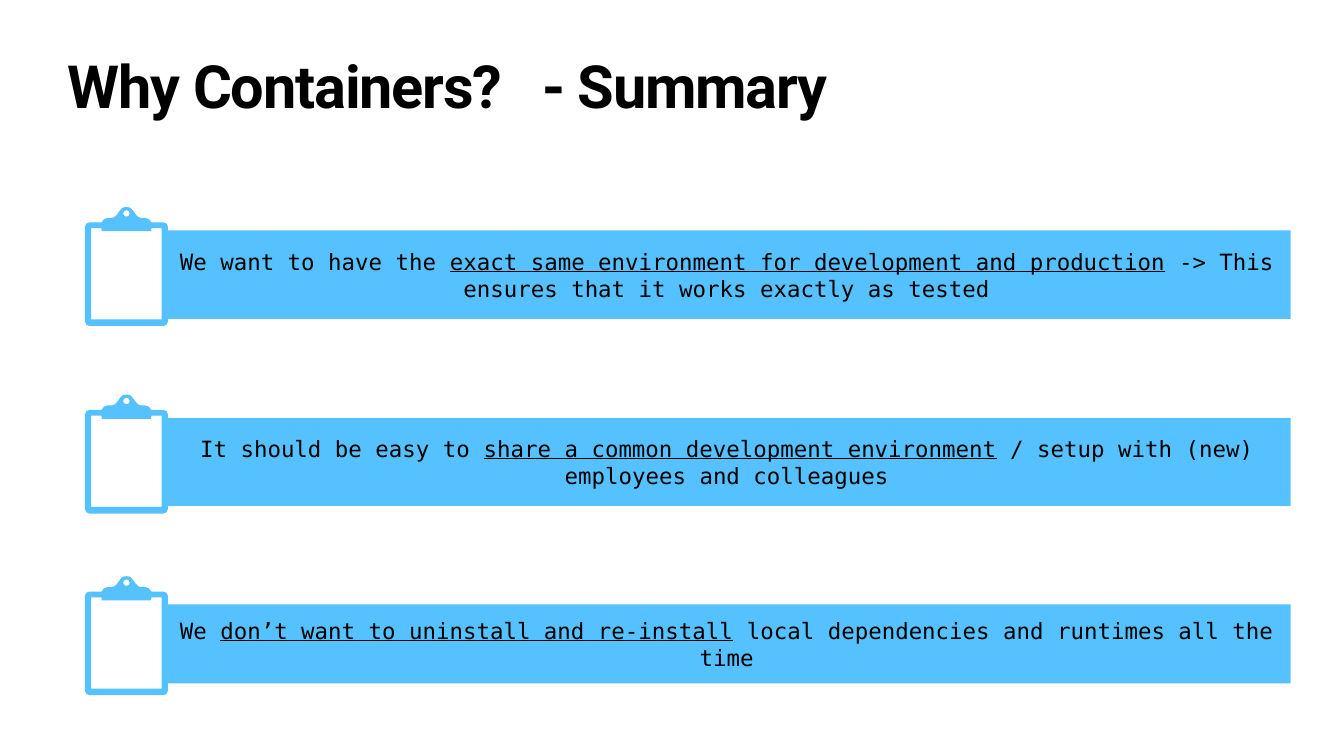
from lxml import etree
from pptx import Presentation
from pptx.dml.color import RGBColor
from pptx.enum.shapes import MSO_SHAPE
from pptx.enum.text import MSO_ANCHOR, PP_ALIGN
from pptx.oxml.ns import qn
from pptx.util import Pt

RECT = MSO_SHAPE.RECTANGLE
TOP, MIDDLE = MSO_ANCHOR.TOP, MSO_ANCHOR.MIDDLE
LEFT, CENTER = PP_ALIGN.LEFT, PP_ALIGN.CENTER

COLORS = {"bar": "56C1FF", "text": "000000"}
TITLE = "Why Containers?\t- Summary"
REASONS = [
    {"icon_top": 295.8, "bar_top": 329, "bar_height": 126.7,
     "runs": [("We want to have the ", False),
              ("exact same environment for development and production", True),
              (" -> This ensures that it works exactly as tested", False)]},
    {"icon_top": 563.7, "bar_top": 596.9, "bar_height": 125.8,
     "runs": [("It should be easy to ", False),
              ("share a common development environment", True),
              (" / setup with (new) employees and colleagues", False)]},
    {"icon_top": 823.2, "bar_top": 863.3, "bar_height": 113,
     "runs": [("We ", False),
              ("don’t want to uninstall and re-install", True),
              (" local dependencies and runtimes all the time", False)]},
]
ICON_CENTER = 180.6
BAR_LEFT, BAR_WIDTH = 232.6, 1611
INSET = 4

BOARD_HALF = [
    [(0, 0)],
    [(5.8, 0), (7.9, 2.2), (10.4, 6.5)],
    [(13.5, 11.5), (17, 15.4), (21, 15.4)],
    [(22.5, 15.2), (25, 15.2), (26.6, 15.4)],
    [(31, 15.8), (34, 18), (35.5, 22)],
    [(53, 22)],
    [(56.5, 22), (59.2, 24.5), (59.2, 28)],
    [(59.2, 163.5)],
    [(59.2, 167), (56.5, 169.9), (53, 169.9)],
]
HOLE_HALF = [
    [(0, 4.5)],
    [(2.6, 4.5), (4.7, 6.6), (4.7, 9.2)],
    [(4.7, 11.8), (2.6, 13.9), (0, 13.9)],
]
PAPER_HALF = [
    [(0, 34.6)],
    [(35, 34.6)],
    [(35, 34.6), (35.7, 33.1), (35.7, 30.2)],
    [(50.4, 30.2)],
    [(50.4, 160.6)],
]


def rgb(name):
    return RGBColor.from_string(COLORS[name])


def mirror(half):
    def flip(point):
        return -point[0], point[1]

    end = half[-1][-1]
    contour = half + ([[flip(end)]] if end[0] else [])
    for before, segment in reversed(list(zip(half, half[1:]))):
        controls = segment[-2::-1]
        contour = contour + [[flip(q) for q in controls + [before[-1]]]]
    return contour


def set_frame(tf, anchor):
    tf.word_wrap = True
    tf.vertical_anchor = anchor
    tf.margin_left = tf.margin_right = tf.margin_top = tf.margin_bottom = Pt(INSET)


def add_run(p, text, font, size, bold=False, underline=False):
    r = p.add_run()
    r.text = text
    r.font.name, r.font.size = font, Pt(size)
    r.font.bold, r.font.underline = bold, underline
    r.font.color.rgb = rgb("text")
    return r


def paint(s):
    s.shadow.inherit = False
    s.fill.solid()
    s.fill.fore_color.rgb = rgb("bar")
    s.line.fill.background()


def bend(s, segments):
    lines = list(s._element.iter(qn("a:lnTo")))
    for line, segment in zip(lines, segments):
        if len(segment) == 3:
            curve = etree.Element(qn("a:cubicBezTo"))
            for x, y in segment:
                etree.SubElement(curve, qn("a:pt"), x=str(x - s.left), y=str(y - s.top))
            line.getparent().replace(line, curve)


def add_clipboard(shapes, top):
    contours = [[[(Pt(ICON_CENTER + x), Pt(top + y)) for x, y in segment]
                 for segment in mirror(half)]
                for half in (BOARD_HALF, HOLE_HALF, PAPER_HALF)]
    builder = shapes.build_freeform(*contours[0][0][0])
    for i, contour in enumerate(contours):
        if i:
            builder.move_to(*contour[0][0])
        builder.add_line_segments([segment[-1] for segment in contour[1:]], close=True)
    s = builder.convert_to_shape()
    bend(s, [segment for contour in contours for segment in contour[1:]])
    paint(s)


def add_bar(shapes, top, height, runs):
    s = shapes.add_shape(RECT, Pt(BAR_LEFT), Pt(top), Pt(BAR_WIDTH), Pt(height))
    paint(s)
    set_frame(s.text_frame, MIDDLE)
    p = s.text_frame.paragraphs[0]
    p.alignment = CENTER
    for text, underline in runs:
        add_run(p, text, "DejaVu Sans Mono", 32, underline=underline)


def add_title(s):
    s.left, s.top, s.width, s.height = Pt(92.9), Pt(85), Pt(1730), Pt(113)
    set_frame(s.text_frame, TOP)
    p = s.text_frame.paragraphs[0]
    tabs = etree.SubElement(p._p.get_or_add_pPr(), qn("a:tabLst"))
    etree.SubElement(tabs, qn("a:tab"), pos=str(Pt(677.5)), algn="l")
    p.alignment = LEFT
    p.line_spacing = 0.8
    r = add_run(p, TITLE, "Roboto", 85, bold=True)
    r.font._element.set("spc", "-170")


prs = Presentation()
prs.slide_width, prs.slide_height = Pt(1920), Pt(1080)
slide = prs.slides.add_slide(prs.slide_layouts[5])
add_title(slide.shapes.title)
for reason in REASONS:
    add_clipboard(slide.shapes, reason["icon_top"])
    add_bar(slide.shapes, reason["bar_top"], reason["bar_height"], reason["runs"])
prs.save("out.pptx")
